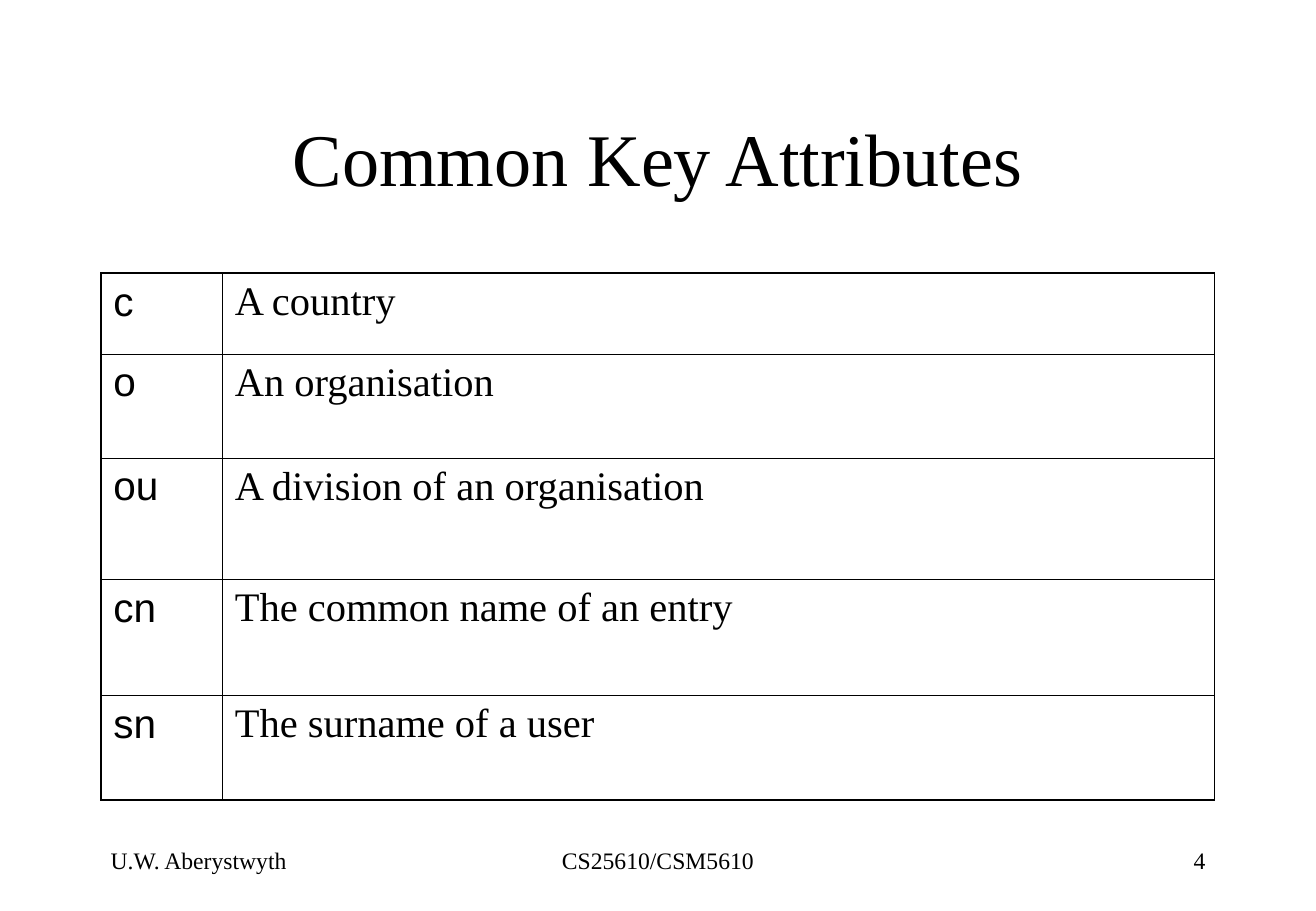
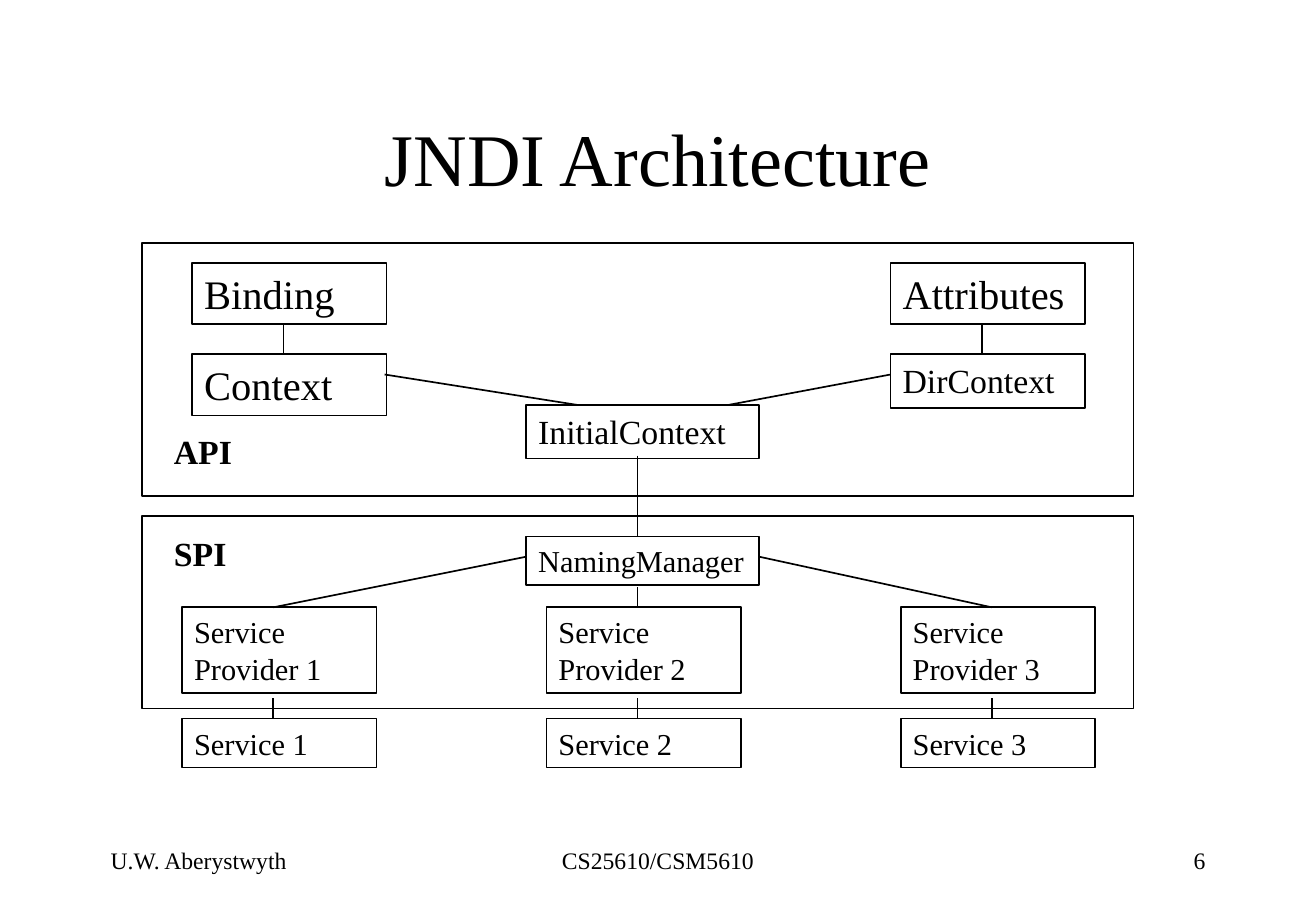
"""Build two slides on directory attributes and the JNDI architecture."""
import lxml.etree
import pptx
import pptx.dml.color
import pptx.enum.shapes
import pptx.enum.text
import pptx.oxml.ns
import pptx.util

BLACK = pptx.dml.color.RGBColor(0, 0, 0)
WHITE = pptx.dml.color.RGBColor(255, 255, 255)
SERIF = "Times New Roman"
SANS = "Arial"
LEFT = pptx.enum.text.PP_ALIGN.LEFT
CENTER = pptx.enum.text.PP_ALIGN.CENTER
RIGHT = pptx.enum.text.PP_ALIGN.RIGHT
TOP = pptx.enum.text.MSO_ANCHOR.TOP
MIDDLE = pptx.enum.text.MSO_ANCHOR.MIDDLE
EMU_PER_PX = 1587.5
SLIDE_WIDTH = 6241
SLIDE_HEIGHT = 4320
MARGIN = 468
OUTER_BORDER = 1.08
INNER_BORDER = 0.45


def px(length):
    return pptx.util.Emu(round(length * EMU_PER_PX))


def write_text(frame, text, *, size, font=SERIF, bold=False, align=LEFT,
               anchor=TOP, before=0, grow=False):
    frame.word_wrap = True
    frame.vertical_anchor = anchor
    if grow:
        frame.auto_size = pptx.enum.text.MSO_AUTO_SIZE.SHAPE_TO_FIT_TEXT
    paragraph = frame.paragraphs[0]
    paragraph.alignment = align
    paragraph.space_before = pptx.util.Pt(before)
    run = paragraph.add_run()
    run.text = text
    run.font.name = font
    run.font.size = pptx.util.Pt(size)
    run.font.bold = bold
    run.font.color.rgb = BLACK


class Deck:
    def __init__(self):
        self.presentation = pptx.Presentation()
        self.presentation.slide_width = px(SLIDE_WIDTH)
        self.presentation.slide_height = px(SLIDE_HEIGHT)
        background = self.presentation.slide_master.background.fill
        background.solid()
        background.fore_color.rgb = WHITE
        self.slide = None

    def new_slide(self, title):
        layout = self.presentation.slide_layouts.get_by_name("Title Only")
        self.slide = self.presentation.slides.add_slide(layout)
        heading = self.slide.shapes.title
        heading.left, heading.top = px(MARGIN), px(384)
        heading.width, heading.height = px(SLIDE_WIDTH - 2 * MARGIN), px(720)
        write_text(heading.text_frame, title, size=44, align=CENTER,
                   anchor=MIDDLE)

    def footer(self, number):
        side = 1301
        for text, left, width, align in (
            ("CS25610/CSM5610", 2132, 1977, CENTER),
            (number, SLIDE_WIDTH - MARGIN - side, side, RIGHT),
            ("U.W. Aberystwyth", MARGIN, side, LEFT),
        ):
            self.label(text, left, 3936, width, 288, size=14, align=align,
                       anchor=MIDDLE)

    def label(self, text, left, top, width, height, **text_format):
        box = self.slide.shapes.add_textbox(px(left), px(top), px(width),
                                            px(height))
        write_text(box.text_frame, text, **text_format)

    def frame(self, left, top, width, height):
        rectangle = self.slide.shapes.add_shape(
            pptx.enum.shapes.MSO_SHAPE.RECTANGLE,
            px(left), px(top), px(width), px(height))
        rectangle.shadow.inherit = False
        rectangle.fill.background()
        self.outline(rectangle)
        return rectangle

    def node(self, text, left, top, width, height, size):
        rectangle = self.frame(left, top, width, height)
        write_text(rectangle.text_frame, text, size=size,
                   before=size * 0.625, grow=True)

    def outline(self, shape):
        shape.line.color.rgb = BLACK
        shape.line.width = pptx.util.Pt(1)

    def link(self, x1, y1, x2, y2):
        connector = self.slide.shapes.add_connector(
            pptx.enum.shapes.MSO_CONNECTOR.STRAIGHT,
            px(x1), px(y1), px(x2), px(y2))
        self.outline(connector)
        lxml.etree.SubElement(connector._element.spPr,
                              pptx.oxml.ns.qn("a:effectLst"))

    def table(self, rows, left, top, widths, heights, fonts):
        grid = self.slide.shapes.add_table(
            len(rows), len(widths), px(left), px(top),
            px(sum(widths)), px(sum(heights))).table
        grid.first_row = False
        grid.horz_banding = False
        for column, width in zip(grid.columns, widths):
            column.width = px(width)
        for row, height in zip(grid.rows, heights):
            row.height = px(height)
        last_row, last_column = len(rows) - 1, len(widths) - 1
        for r, texts in enumerate(rows):
            for c, text in enumerate(texts):
                cell = grid.cell(r, c)
                cell.fill.background()
                write_text(cell.text_frame, text, size=24, font=fonts[c],
                           before=6)
                self.borders(cell, L=c == 0, R=c == last_column,
                             T=r == 0, B=r == last_row)

    def borders(self, cell, **outer_sides):
        properties = cell._tc.get_or_add_tcPr()
        qn = pptx.oxml.ns.qn
        for position, (side, outer) in enumerate(outer_sides.items()):
            width = pptx.util.Pt(OUTER_BORDER if outer else INNER_BORDER)
            border = lxml.etree.Element(qn(f"a:ln{side}"), w=str(int(width)))
            fill = lxml.etree.SubElement(border, qn("a:solidFill"))
            lxml.etree.SubElement(fill, qn("a:srgbClr"), val=str(BLACK))
            properties.insert(position, border)


def add_key_attributes(deck):
    deck.new_slide("Common Key Attributes")
    deck.table(
        [("c", "A country"),
         ("o", "An organisation"),
         ("ou", "A division of an organisation"),
         ("cn", "The common name of an entry"),
         ("sn", "The surname of a user")],
        480, 1296, (576, 4704), (384, 493, 576, 551, 493), (SANS, SERIF))
    deck.footer("4")


def add_architecture(deck):
    deck.new_slide("JNDI Architecture")
    deck.frame(672, 1152, 4704, 1200)
    deck.frame(672, 2448, 4704, 912)

    for text, left, top, width, height, size in (
        ("Binding", 912, 1248, 922, 290, 24),
        ("Context", 912, 1680, 922, 290, 24),
        ("Attributes", 4224, 1248, 922, 290, 24),
        ("DirContext", 4224, 1680, 922, 254, 20),
        ("InitialContext", 2496, 1920, 1104, 254, 20),
        ("NamingManager", 2496, 2544, 1104, 232, 18),
    ):
        deck.node(text, left, top, width, height, size)

    for number, left in ((3, 4272), (2, 2592), (1, 864)):
        deck.node(f"Service {number}", left, 3408, 922, 232, 18)
        deck.node(f"Service Provider {number}", left, 2880, 922, 406, 18)

    for ends in (
        (1344, 1536, 1344, 1680),
        (4656, 1536, 4656, 1680),
        (1824, 1776, 2736, 1920),
        (4224, 1776, 3456, 1920),
        (3024, 2160, 3024, 2544),
        (1296, 2880, 2496, 2640),
        (3600, 2640, 4704, 2880),
        (3024, 2784, 3024, 2880),
    ):
        deck.link(*ends)
    for centre in (1296, 3024, 4704):
        deck.link(centre, 3312, centre, 3408)

    for layer, top, width in (("API", 2016, 576), ("SPI", 2496, 672)):
        deck.label(layer, 768, top, width, 254, size=20, bold=True,
                   before=12.5, grow=True)
    deck.footer("6")


def main():
    deck = Deck()
    add_key_attributes(deck)
    add_architecture(deck)
    deck.presentation.save("out.pptx")


if __name__ == "__main__":
    main()
